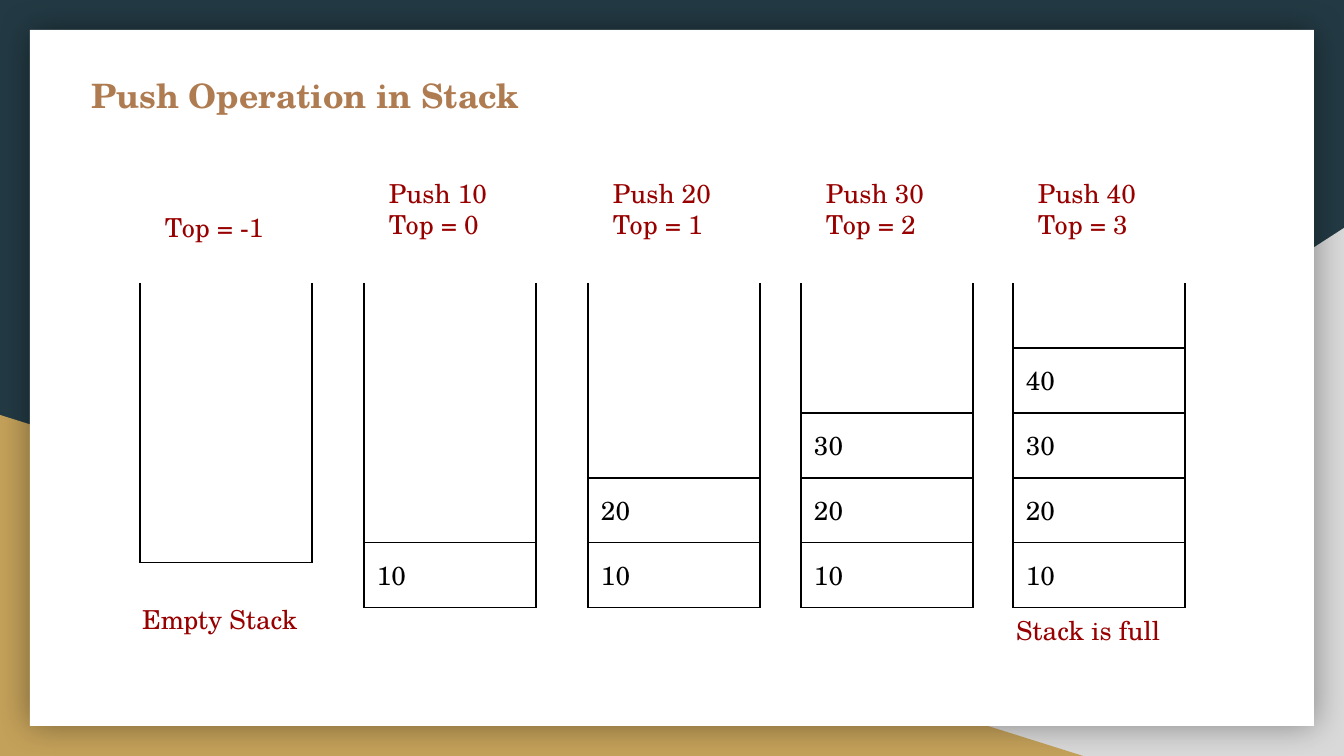
from lxml import etree
from pptx import Presentation
from pptx.dml.color import RGBColor
from pptx.enum.shapes import MSO_SHAPE
from pptx.enum.text import MSO_ANCHOR, MSO_AUTO_SIZE, PP_ALIGN
from pptx.oxml.ns import qn
from pptx.util import Emu, Pt

RECTANGLE = MSO_SHAPE.RECTANGLE
RIGHT_TRIANGLE = MSO_SHAPE.RIGHT_TRIANGLE
TOP, MIDDLE = MSO_ANCHOR.TOP, MSO_ANCHOR.MIDDLE
LEFT = PP_ALIGN.LEFT
NO_AUTOFIT = MSO_AUTO_SIZE.NONE

NAVY = RGBColor(0x23, 0x3A, 0x44)
GRAY = RGBColor(0xD9, 0xD9, 0xD9)
GOLD = RGBColor(0xC4, 0xA1, 0x5A)
WHITE = RGBColor(0xFF, 0xFF, 0xFF)
BROWN = RGBColor(0xAF, 0x7B, 0x51)
RED = RGBColor(0x98, 0x00, 0x00)
BLACK = RGBColor(0x00, 0x00, 0x00)

FONT = "TeX Gyre Schola"
SLIDE_SIZE = (1344, 756)
INSET = 13
CAPACITY = 5
STACK_TOP = 283
STACK_WIDTH = 172
STACK_LEFTS = (140, 364, 588, 801, 1013)
EMPTY_ROW, FILLED_ROW = 56, 65
PUSHED = (10, 20, 30, 40)


def px(length):
    """Turn pixels into EMU at 134.4 pixels to the inch."""
    return Emu(round(length * 914400 / 134.4))


def add_run(paragraph, text, size, color, bold=False):
    """Append one formatted run to a paragraph."""
    run = paragraph.add_run()
    run.text = text
    run.font.name = FONT
    run.font.size = Pt(size)
    run.font.bold = bold
    run.font.color.rgb = color


def set_frame(frame):
    """Give a text frame its insets, wrapping and top anchor."""
    frame.word_wrap = True
    frame.auto_size = NO_AUTOFIT
    frame.vertical_anchor = TOP
    frame.margin_left = frame.margin_right = px(INSET)
    frame.margin_top = frame.margin_bottom = px(INSET)


def add_backdrop(slide, preset, box, color, flipped=False):
    """Add a plain filled shape behind the content."""
    backdrop = slide.shapes.add_shape(preset, *map(px, box))
    backdrop.shadow.inherit = False
    backdrop.fill.solid()
    backdrop.fill.fore_color.rgb = color
    backdrop.line.fill.background()
    if flipped:
        backdrop.element.spPr.find(qn("a:xfrm")).set("flipH", "1")
    return backdrop


def add_glow_shadow(panel):
    """Give the panel a soft shadow on all sides."""
    effects = panel.element.spPr.find(qn("a:effectLst"))
    shadow = etree.SubElement(effects, qn("a:outerShdw"), blurRad=str(Pt(18)),
                              dist="0", dir="0", algn="ctr", rotWithShape="0")
    tint = etree.SubElement(shadow, qn("a:srgbClr"), val=str(BLACK))
    etree.SubElement(tint, qn("a:alpha"), val="40000")


def set_title(slide, text):
    """Place and format the title in front of the backdrop."""
    title = slide.shapes.title
    title.element.getparent().append(title.element)
    title.left, title.top, title.width, title.height = map(px, (78, 56, 1181, 68))
    set_frame(title.text_frame)
    heading = title.text_frame.paragraphs[0]
    heading.alignment = LEFT
    heading.line_spacing = 1.15
    add_run(heading, text, 18, BROWN, bold=True)


def add_label(slide, left, top, width, lines):
    """Add a red label with one paragraph per line."""
    label = slide.shapes.add_textbox(px(left), px(top), px(width), px(35))
    frame = label.text_frame
    set_frame(frame)
    for index, line in enumerate(lines):
        paragraph = frame.add_paragraph() if index else frame.paragraphs[0]
        add_run(paragraph, line, 14, RED)


def set_borders(cell, drawn_sides):
    """Draw the named sides of a cell and clear the others."""
    properties = cell._tc.get_or_add_tcPr()
    for position, side in enumerate("LRTB"):
        border = etree.Element(qn(f"a:ln{side}"), w=str(Pt(0.75)))
        if side in drawn_sides:
            fill = etree.SubElement(border, qn("a:solidFill"))
            etree.SubElement(fill, qn("a:srgbClr"), val=str(BLACK))
        else:
            etree.SubElement(border, qn("a:noFill"))
        properties.insert(position, border)


def add_stack(slide, left, items):
    """Add an open-topped stack holding the items from the bottom up."""
    row_height = FILLED_ROW if items else EMPTY_ROW
    frame = slide.shapes.add_table(CAPACITY, 1, px(left), px(STACK_TOP),
                                   px(STACK_WIDTH), px(CAPACITY * row_height))
    stack = frame.table
    stack.first_row = stack.horz_banding = False
    for level in range(CAPACITY):
        row = CAPACITY - 1 - level
        stack.rows[row].height = px(row_height)
        cell = stack.cell(row, 0)
        cell.fill.background()
        cell.vertical_anchor = MIDDLE
        cell.margin_left = cell.margin_right = px(INSET)
        cell.margin_top = cell.margin_bottom = 0
        sides = "LR"
        if level < len(items):
            sides += "T"
            add_run(cell.text_frame.paragraphs[0], str(items[level]), 14, BLACK)
        if level <= len(items):
            sides += "B"
        set_borders(cell, sides)


def main():
    """Build the slide and save it."""
    deck = Presentation()
    deck.slide_width, deck.slide_height = map(px, SLIDE_SIZE)
    slide = deck.slides.add_slide(deck.slide_layouts[5])
    slide.background.fill.solid()
    slide.background.fill.fore_color.rgb = NAVY

    add_backdrop(slide, RIGHT_TRIANGLE, (527, 228, 817, 528), GRAY, flipped=True)
    add_backdrop(slide, RIGHT_TRIANGLE, (0, 415, 1083, 341), GOLD)
    add_glow_shadow(add_backdrop(slide, RECTANGLE, (30, 30, 1284, 696), WHITE))
    set_title(slide, "Push Operation in Stack")

    for count, left in enumerate(STACK_LEFTS):
        items = PUSHED[:count]
        add_stack(slide, left, items)
        lines = [f"Push {items[-1]}"] if items else []
        lines.append(f"Top = {count - 1}")
        add_label(slide, left + 12, 164 if items else 198, 183, lines)

    add_label(slide, 129, 590, 228, ["Empty Stack"])
    add_label(slide, 1003, 601, 228, ["Stack is full"])
    deck.save("out.pptx")


if __name__ == "__main__":
    main()
